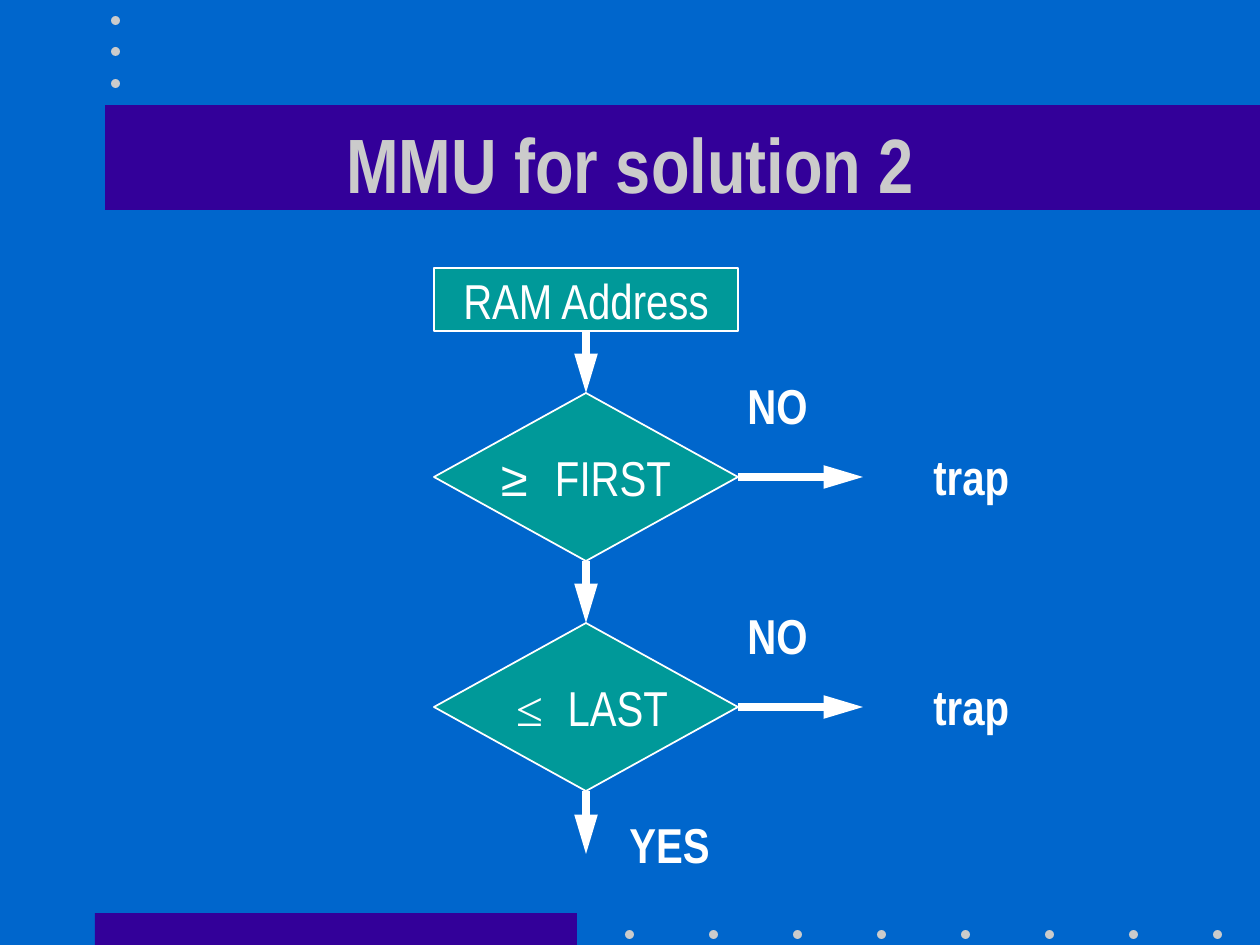
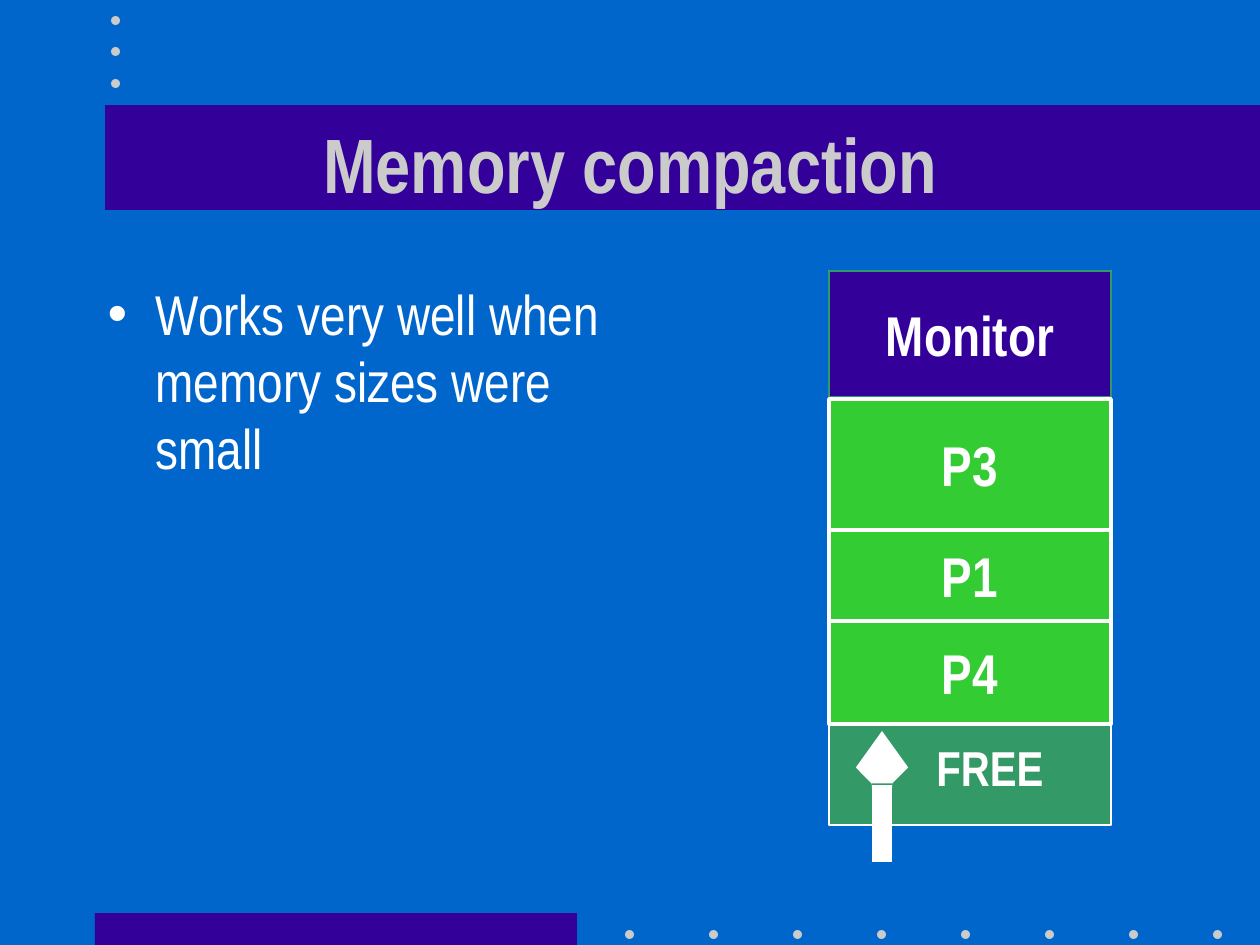
import pptx
import pptx.dml.color
import pptx.enum.shapes
import pptx.enum.text
import pptx.oxml
import pptx.oxml.ns
import pptx.util

PX = 914400 / 126
BLUE, INDIGO, GREY, WHITE = "0066CC", "330099", "CBCBCB", "FFFFFF"
TEAL, GREEN, LIME = "009999", "339966", "33CC33"
FONT = "Arial Narrow"

SHAPE = pptx.enum.shapes.MSO_SHAPE
ALIGN = pptx.enum.text.PP_ALIGN
ANCHOR = pptx.enum.text.MSO_ANCHOR
AUTO_SIZE = pptx.enum.text.MSO_AUTO_SIZE
TITLE_ONLY, TITLE_AND_BODY = 5, 1


def px(length):
    return pptx.util.Emu(round(length * PX))


def color(hex_string):
    return pptx.dml.color.RGBColor.from_string(hex_string)


def add_xml(parent, tag, **attributes):
    element = pptx.oxml.parse_xml(f'<a:{tag} {pptx.oxml.ns.nsdecls("a")}/>')
    for name, value in attributes.items():
        element.set(name, value)
    parent.append(element)


class Deck:
    """Holds the presentation, its style and the slide being drawn."""

    def __init__(self):
        self.presentation = pptx.Presentation()
        self.presentation.slide_width = px(1260)
        self.presentation.slide_height = px(945)
        self.slide = None

    def new_slide(self, title, layout):
        self.slide = self.presentation.slides.add_slide(
            self.presentation.slide_layouts[layout])
        background = self.slide.background.fill
        background.solid()
        background.fore_color.rgb = color(BLUE)
        self.decorate()
        title_shape = self.slide.shapes.title
        self.slide.shapes.element.append(title_shape.element)  # above the band
        self.place(title_shape, 95, 84, 1071, 158)
        self.add_text(title_shape, [(title, FONT)], 44, True, GREY,
                      anchor=ANCHOR.MIDDLE)

    def decorate(self):
        """Draw the bands and rows of dots that every slide has."""
        self.box(95, 913, 482, 32, INDIGO)
        self.box(105, 105, 1155, 105, INDIGO)
        for column in range(8):
            self.box(625 + 84 * column, 930, 9, 9, GREY, kind=SHAPE.OVAL)
        for row in range(3):
            self.box(111, 16 + 63 * row // 2, 9, 9, GREY, kind=SHAPE.OVAL)

    def place(self, shape, left, top, width, height):
        shape.left, shape.top = px(left), px(top)
        shape.width, shape.height = px(width), px(height)

    def add_text(self, shape, runs, size, bold=False, text_color=WHITE,
                 align=ALIGN.CENTER, anchor=ANCHOR.TOP, wrap=True,
                 auto_size=AUTO_SIZE.NONE):
        """Fill a shape with one paragraph of (text, font) runs."""
        frame = shape.text_frame
        frame.word_wrap = wrap
        frame.auto_size = auto_size
        frame.vertical_anchor = anchor
        paragraph = frame.paragraphs[0]
        paragraph.alignment = align
        for text, font in runs:
            run = paragraph.add_run()
            run.text = text
            run.font.name = font
            run.font.size = pptx.util.Pt(size)
            run.font.bold = bold
            run.font.color.rgb = color(text_color)
        return paragraph

    def box(self, left, top, width, height, fill, line=None, line_width=1,
            kind=SHAPE.RECTANGLE, runs=(), size=28, bold=False):
        shape = self.slide.shapes.add_shape(
            kind, px(left), px(top), px(width), px(height))
        shape.shadow.inherit = False
        shape.fill.solid()
        shape.fill.fore_color.rgb = color(fill)
        if line:
            shape.line.color.rgb = color(line)
            shape.line.width = pptx.util.Pt(line_width)
        else:
            shape.line.fill.background()
        if runs:
            self.add_text(shape, runs, size, bold, anchor=ANCHOR.MIDDLE,
                          wrap=False)
        return shape

    def label(self, text, left, top, width, align=ALIGN.LEFT, wrap=False):
        shape = self.slide.shapes.add_textbox(
            px(left), px(top), px(width), px(72))
        self.add_text(shape, [(text, FONT)], 28, True, align=align, wrap=wrap,
                      auto_size=AUTO_SIZE.SHAPE_TO_FIT_TEXT)

    def bullet(self, text, left, top, width, height):
        body = self.slide.placeholders[1]
        self.place(body, left, top, width, height)
        paragraph = self.add_text(body, [(text, FONT)], 32, align=ALIGN.LEFT)
        paragraph.space_before = pptx.util.Pt(8)
        properties = paragraph._p.get_or_add_pPr()
        properties.set("marL", str(px(48)))
        properties.set("indent", str(-px(48)))
        add_xml(properties, "buFont", typeface="Arial")
        add_xml(properties, "buChar", char="•")

    def arrow(self, start, end, width=4.5, head="triangle", head_width="med",
              head_length="lg", source=None, target=None):
        """Draw an arrow; source and target are (shape, side) to join."""
        connector = self.slide.shapes.add_connector(
            pptx.enum.shapes.MSO_CONNECTOR.STRAIGHT,
            *(px(value) for value in (*start, *end)))
        if source:
            connector.begin_connect(*source)
        if target:
            connector.end_connect(*target)
        connector.line.color.rgb = color(WHITE)
        connector.line.width = pptx.util.Pt(width)
        add_xml(connector.line._get_or_add_ln(), "tailEnd",
                type=head, w=head_width, len=head_length)
        add_xml(connector._element.spPr, "effectLst")


def draw_address_check(deck):
    deck.new_slide("MMU for solution 2", TITLE_ONLY)
    left, width, center = 434, 304, 586
    previous = deck.box(left, 268, width, 63, TEAL, WHITE,
                        kind=SHAPE.FLOWCHART_PROCESS,
                        runs=[("RAM Address", FONT)])
    bottom = 331
    tests = [
        [("≥  ", "Arial"), ("FIRST", FONT)],
        [(" ≤  ", "Times New Roman"), ("LAST", FONT)],
    ]
    for row, runs in enumerate(tests):
        top = 393 + 230 * row
        middle = top + 84
        decision = deck.box(left, top, width, 168, TEAL, WHITE,
                            kind=SHAPE.FLOWCHART_DECISION, runs=runs)
        deck.arrow((center, bottom), (center, top),
                   source=(previous, 2), target=(decision, 0))
        deck.arrow((left + width, middle), (863, middle), source=(decision, 3))
        deck.label("NO", 735, top - 24, 86)
        deck.label("trap", 921, top + 47, 101)
        previous, bottom = decision, top + 168
    deck.arrow((center, bottom), (center, 854), source=(previous, 2))
    deck.label("YES", 602, 808, 135, ALIGN.CENTER, wrap=True)


def draw_compaction(deck):
    deck.new_slide("Memory compaction", TITLE_AND_BODY)
    deck.bullet("Works very well when memory sizes were small",
                95, 273, 525, 567)
    left, width = 829, 282
    deck.box(left, 271, width, 554, GREEN, WHITE)
    deck.box(left, 271, width, 126, INDIGO, GREEN,
             runs=[("Monitor", FONT)], size=32, bold=True)
    top = 399
    for process, height in (("P3", 131), ("P1", 91), ("P4", 103)):
        deck.box(left, top, width, height, LIME, WHITE, 2,
                 runs=[(process, FONT)], size=32, bold=True)
        top += height
    deck.arrow((882, 862), (882, 731), 12, "arrow", "sm", "sm")
    deck.label("FREE", 924, 731, 132)


def main():
    deck = Deck()
    draw_address_check(deck)
    draw_compaction(deck)
    deck.presentation.save("out.pptx")


if __name__ == "__main__":
    main()
